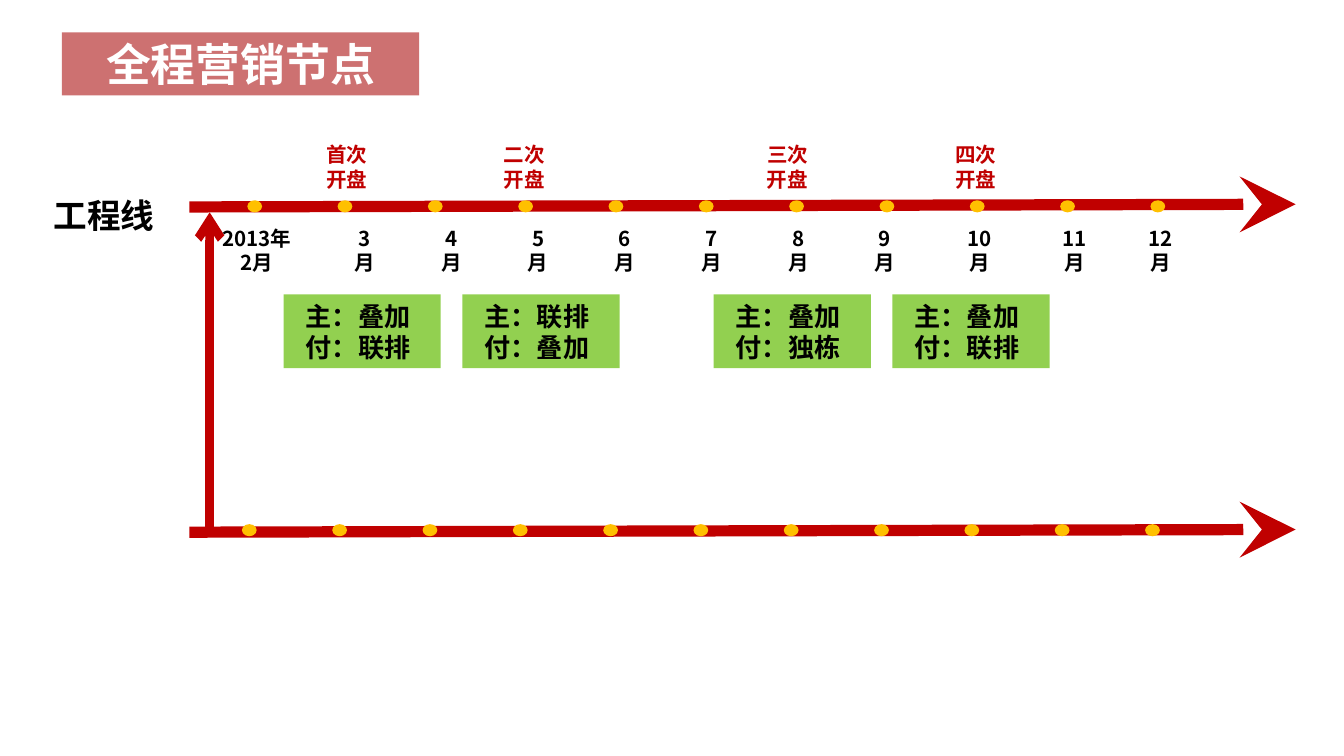
"""Build the marketing milestones slide with two timelines."""
from lxml import etree
from pptx import Presentation
from pptx import util as u
from pptx.dml.color import RGBColor
from pptx.enum import shapes, text
from pptx.oxml import ns

FONT = "Noto Sans CJK SC"
COLORS = {"red": "C00000", "dot": "FFC000", "green": "92D050",
          "banner": "CD7171", "black": "000000", "white": "FFFFFF"}
PAD = (0.09, 0.04, 0.09, 0.04)


def rgb(name):
    """Return the named colour."""
    return RGBColor.from_string(COLORS[name])


def write(s, lines, size, color, margins=PAD, **fmt):
    """Put styled paragraphs into a shape."""
    tf = s.text_frame
    left, top, right, bottom = map(u.Inches, margins)
    values = {"margin_left": left, "margin_top": top, "margin_right": right,
              "margin_bottom": bottom, "word_wrap": True,
              "auto_size": text.MSO_AUTO_SIZE.NONE,
              "vertical_anchor": text.MSO_ANCHOR.TOP}
    align = fmt.pop("align", text.PP_ALIGN.CENTER)
    for name, value in {**values, **fmt}.items():
        setattr(tf, name, value)
    for i, line in enumerate(lines):
        p = tf.add_paragraph() if i else tf.paragraphs[0]
        p.alignment = align
        r = p.add_run()
        r.text = line
        for name, value in {"size": u.Pt(size), "bold": True, "name": FONT}.items():
            setattr(r.font, name, value)
        r.font.color.rgb = rgb(color)
        ea = etree.SubElement(r.font._element, ns.qn("a:ea"))
        ea.set("typeface", FONT)


def add_title(slide, title):
    """Turn the title placeholder into a coloured banner."""
    s = slide.shapes.title
    for name, value in {"left": 0.46, "top": 0.24, "width": 2.66, "height": 0.47}.items():
        setattr(s, name, u.Inches(value))
    s.fill.solid()
    s.fill.fore_color.rgb = rgb("banner")
    write(s, [title], 24, "white", (0.1, 0.05, 0.1, 0.05),
          vertical_anchor=text.MSO_ANCHOR.MIDDLE)


def add_label(slide, x, y, w, h, label, size, color, **fmt):
    """Add a text box that grows with its text."""
    s = slide.shapes.add_textbox(*map(u.Inches, (x, y, w, h)))
    write(s, [label], size, color, auto_size=text.MSO_AUTO_SIZE.SHAPE_TO_FIT_TEXT, **fmt)


def add_block(slide, kind, box, color):
    """Add a flat filled shape without an outline."""
    s = slide.shapes.add_shape(kind, *map(u.Inches, box))
    s.shadow.inherit = False
    s.fill.solid()
    s.fill.fore_color.rgb = rgb(color)
    s.line.fill.background()
    return s


def add_arrow(slide, start, end, width, head, size):
    """Add a red line with an arrowhead at its end."""
    s = slide.shapes.add_connector(shapes.MSO_CONNECTOR.STRAIGHT,
                                   *map(u.Inches, start + end))
    s.line.color.rgb = rgb("red")
    s.line.width = u.Pt(width)
    tail = etree.SubElement(s.line._get_or_add_ln(), ns.qn("a:tailEnd"))
    for name, value in {"type": head, "w": size, "len": size}.items():
        tail.set(name, value)
    etree.SubElement(s._element.spPr, ns.qn("a:effectLst"))


def add_timeline(slide, y, dot_x, dot_y):
    """Add a horizontal arrow with eleven evenly spaced month dots."""
    add_arrow(slide, (1.41, y), (9.64, y - 0.02), 6, "stealth", "lg")
    for i in range(11):
        add_block(slide, shapes.MSO_SHAPE.OVAL,
                  (dot_x + 6.72 * i / 10, dot_y, 0.11, 0.09), "dot")


def add_products(slide, x, main_type, extra_type):
    """Add a green card with the main and secondary products."""
    s = add_block(slide, shapes.MSO_SHAPE.RECTANGLE, (x, 2.19, 1.17, 0.55), "green")
    write(s, [f"主：{main_type}", f"付：{extra_type}"], 14, "black", (0, 0, 0.06, 0),
          word_wrap=False, vertical_anchor=text.MSO_ANCHOR.MIDDLE)


def main():
    """Build and save the slide."""
    prs = Presentation()
    prs.slide_width = u.Inches(10)
    prs.slide_height = prs.slide_width * 9 // 16
    slide = prs.slides.add_slide(prs.slide_layouts[5])
    add_title(slide, "全程营销节点")
    add_timeline(slide, 1.54, 1.84, 1.49)
    add_arrow(slide, (1.56, 3.98), (1.56, 1.58), 4.5, "arrow", "med")
    add_timeline(slide, 3.96, 1.8, 3.9)
    add_label(slide, 0.31, 1.41, 0.95, 0.39, "工程线", 18, "black",
              align=text.PP_ALIGN.LEFT)

    months = [("2013年2月", 1.56, 0.7)]
    months += [(f"{m}月", 2.52 + 3.87 * (m - 3) / 6, 0.39) for m in range(3, 10)]
    months += [("10月", 7.04, 0.5), ("11月", 7.8, 0.39), ("12月", 8.44, 0.39)]
    for month, x, w in months:
        add_label(slide, x, 1.64, w, 0.46, month, 11, "black")

    launches = [("首次", 2.27, 2.11, "叠加", "联排"), ("二次", 3.59, 3.44, "联排", "叠加"),
                ("三次", 5.55, 5.31, "叠加", "独栋"), ("四次", 6.95, 6.64, "叠加", "联排")]
    for order, label_x, card_x, main_type, extra_type in launches:
        add_label(slide, label_x, 1.02, 0.62, 0.46, f"{order}开盘", 11, "red")
        add_products(slide, card_x, main_type, extra_type)
    prs.save("out.pptx")


if __name__ == "__main__":
    main()
